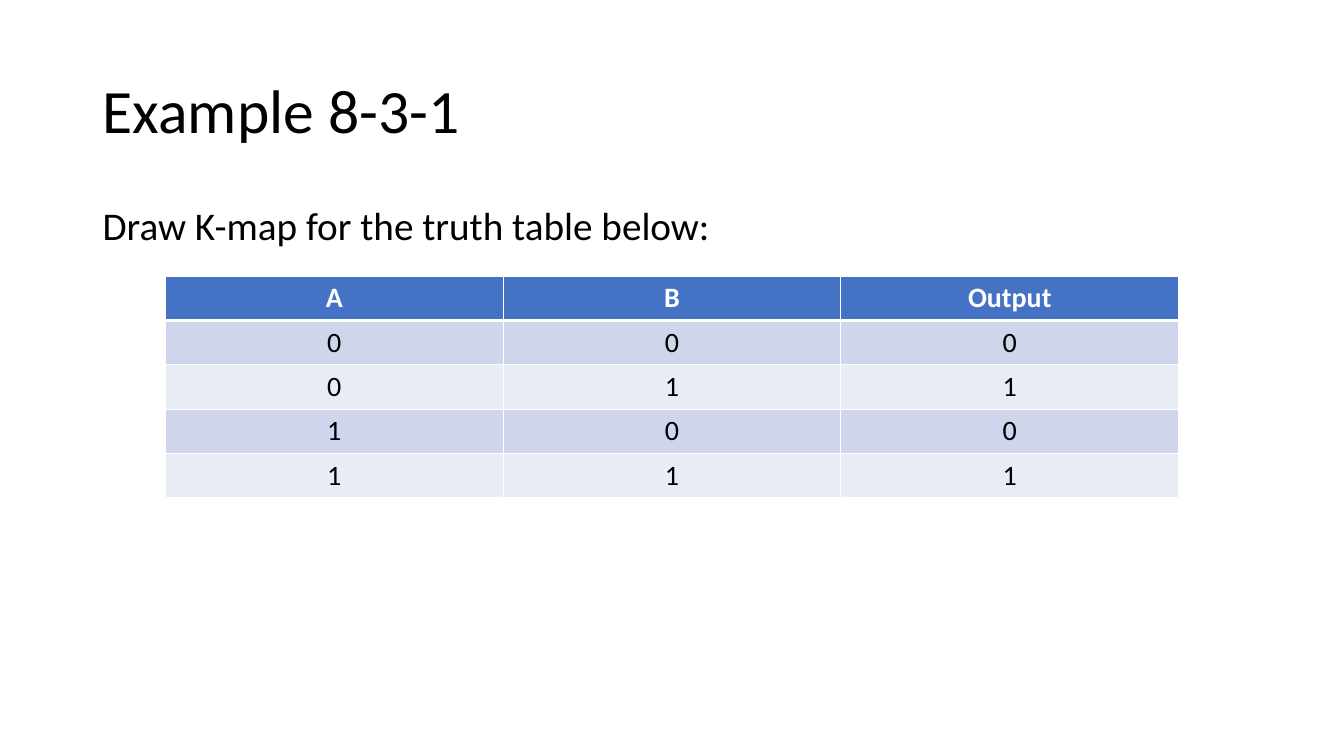
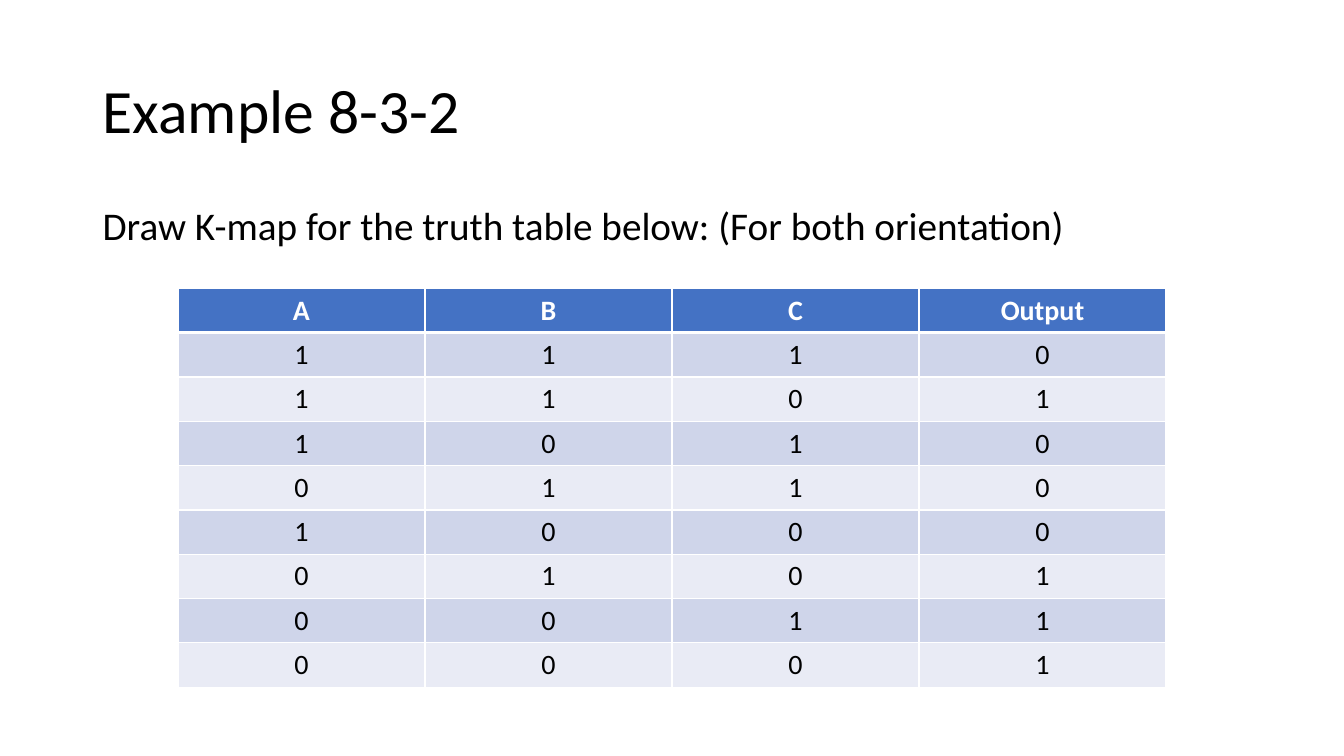
from lxml.etree import SubElement
from pptx import Presentation
from pptx.dml.color import RGBColor
from pptx.enum.text import MSO_ANCHOR, PP_ALIGN
from pptx.oxml.ns import qn
from pptx.util import Inches, Pt

FONT = "Calibri"
COLORS = {
    "text": "000000",
    "white": "FFFFFF",
    "header": "4472C4",
    "odd_row": "CFD5EA",
    "even_row": "E9EBF5",
}
SLIDE_WIDTH = 13.33
MARGIN = 0.92
ROW_HEIGHT = 0.44


def write_text(text_frame, text, size, color="text", bold=False,
               align=PP_ALIGN.LEFT, line_spacing=1.0):
    """Fill a text frame with one formatted paragraph."""
    paragraph = text_frame.paragraphs[0]
    paragraph.alignment = align
    paragraph.line_spacing = line_spacing
    run = paragraph.add_run()
    run.text = text
    run.font.name = FONT
    run.font.size = Pt(size)
    run.font.bold = bold
    run.font.color.rgb = RGBColor.from_string(COLORS[color])


def add_text(slide, text, top, height, size, anchor):
    """Add a text box spanning the slide between its margins."""
    shape = slide.shapes.add_textbox(
        Inches(MARGIN), Inches(top), Inches(11.5), Inches(height))
    shape.text_frame.word_wrap = True
    shape.text_frame.vertical_anchor = anchor
    write_text(shape.text_frame, text, size, line_spacing=0.9)


def set_borders(cell, top, bottom):
    """Draw white borders around a cell, with widths in points."""
    properties = cell._tc.get_or_add_tcPr()
    widths = {"a:lnL": 1, "a:lnR": 1, "a:lnT": top, "a:lnB": bottom}
    for tag, width in widths.items():
        line = SubElement(properties, qn(tag), w=str(Pt(width)))
        fill = SubElement(line, qn("a:solidFill"))
        SubElement(fill, qn("a:srgbClr"), val=COLORS["white"])


def add_truth_table(slide, headings, rows, top, width, anchor):
    """Add a centred truth table with a header and banded rows."""
    values = [headings, *rows]
    table = slide.shapes.add_table(
        len(values), len(headings),
        Inches((SLIDE_WIDTH - width) / 2), Inches(top),
        Inches(width), Inches(ROW_HEIGHT * len(values))).table
    for row_index, row in enumerate(values):
        is_header = row_index == 0
        band = "odd_row" if row_index % 2 else "even_row"
        for column_index, value in enumerate(row):
            cell = table.cell(row_index, column_index)
            cell.vertical_anchor = anchor
            set_borders(cell, top=3 if row_index == 1 else 1,
                        bottom=3 if is_header else 1)
            cell.fill.solid()
            cell.fill.fore_color.rgb = RGBColor.from_string(
                COLORS["header" if is_header else band])
            write_text(cell.text_frame, value, 20,
                       color="white" if is_header else "text",
                       bold=is_header, align=PP_ALIGN.CENTER)


def add_example(presentation, title, task):
    """Add a slide with its title and task, and return it."""
    slide = presentation.slides.add_slide(presentation.slide_layouts[6])
    add_text(slide, title, 0.4, 1.45, 44, MSO_ANCHOR.MIDDLE)
    add_text(slide, task, 2, 0.6, 28, MSO_ANCHOR.TOP)
    return slide


def main():
    """Build and save the presentation."""
    presentation = Presentation()
    presentation.slide_width = Inches(SLIDE_WIDTH)
    presentation.slide_height = Inches(7.5)

    slide = add_example(presentation, "Example 8-3-1",
                        "Draw K-map for the truth table below:")
    add_truth_table(slide, ["A", "B", "Output"],
                    ["000", "011", "100", "111"],
                    top=2.74, width=10.05, anchor=MSO_ANCHOR.TOP)

    slide = add_example(
        presentation, "Example 8-3-2",
        "Draw K-map for the truth table below: (For both orientation)")
    add_truth_table(slide, ["A", "B", "C", "Output"],
                    ["1110", "1101", "1010", "0110",
                     "1000", "0101", "0011", "0001"],
                    top=2.86, width=9.8, anchor=MSO_ANCHOR.MIDDLE)

    presentation.save("out.pptx")


if __name__ == "__main__":
    main()
